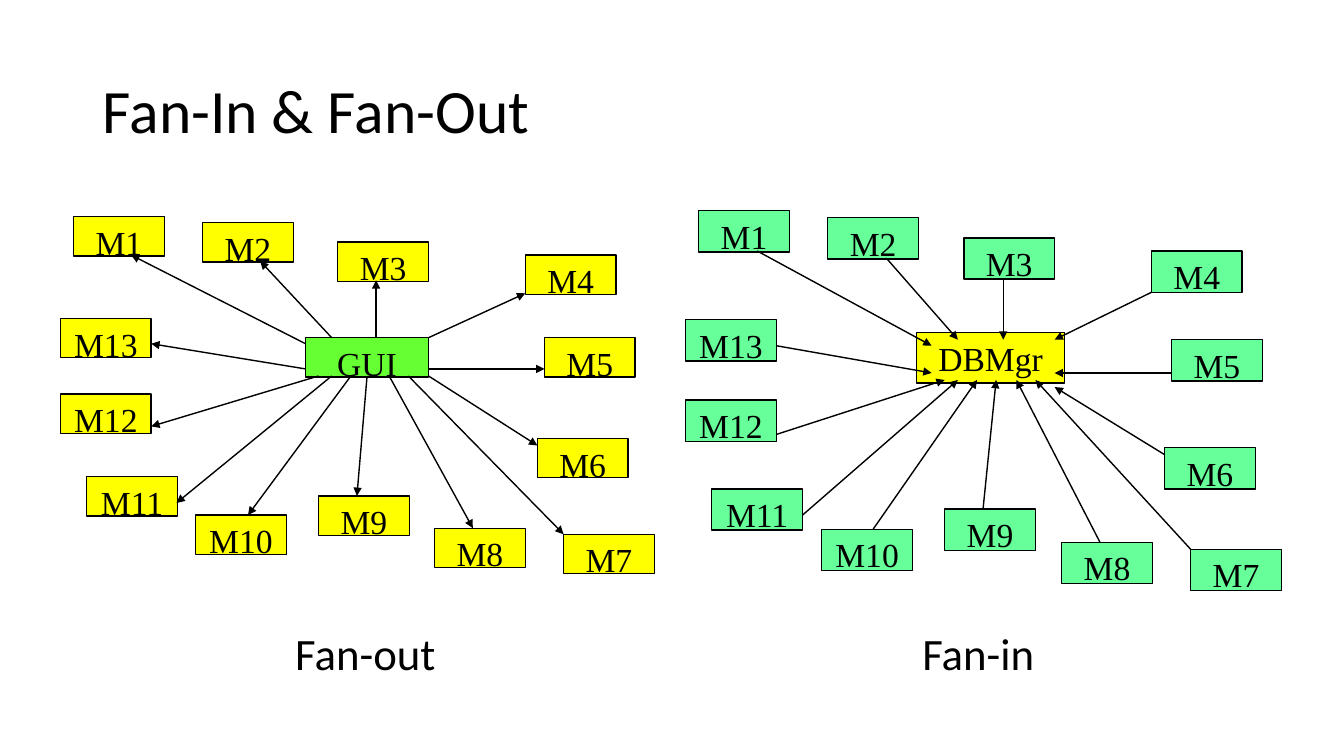
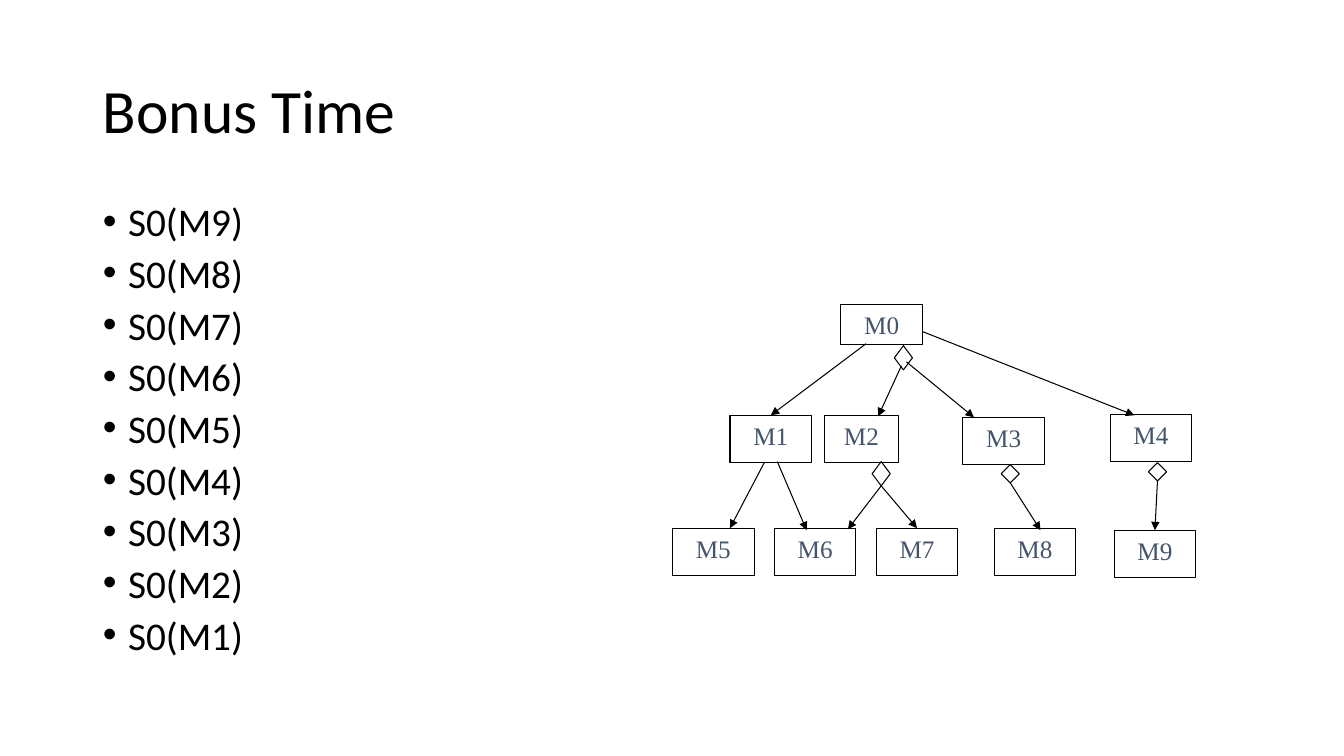
from dataclasses import dataclass
from typing import Any

import lxml.etree
import pptx
import pptx.dml.color
import pptx.enum.shapes
import pptx.enum.text
import pptx.oxml.ns
import pptx.util

EMU_PER_PX = 9144  # 100 px to the inch
COLORS = {
    "ink": "000000",
    "label": "44546A",
    "yellow": "FFFF00",
    "mint": "66FF99",
    "lime": "66FF33",
}
SANS, SERIF = "Calibri", "Times New Roman"
RECTANGLE = pptx.enum.shapes.MSO_SHAPE.RECTANGLE
DIAMOND = pptx.enum.shapes.MSO_SHAPE.DIAMOND
LEFT = pptx.enum.text.PP_ALIGN.LEFT
CENTER = pptx.enum.text.PP_ALIGN.CENTER
TOP = pptx.enum.text.MSO_ANCHOR.TOP
MIDDLE = pptx.enum.text.MSO_ANCHOR.MIDDLE
SNAP_PX = 3
GRID_COLUMNS, GRID_ROWS = 78, 50


@dataclass(frozen=True)
class Box:
    left: int
    top: int
    width: int
    height: int
    text: str = ""
    kind: Any = RECTANGLE


@dataclass(frozen=True)
class Arrow:
    start: tuple[int, int]
    end: tuple[int, int]


@dataclass(frozen=True)
class Spoke:
    """A module's grid cell, and the grid ends of its line at module and hub."""

    name: str
    cell: tuple[int, int]
    module_end: tuple[int, int]
    hub_end: tuple[int, int]


@dataclass(frozen=True)
class Fan:
    left: int
    top: int
    width: int
    height: int
    module_height: int
    module_fill: str
    hub: Box
    hub_fill: str
    inward: bool
    caption: str
    caption_left: int

    def point(self, cell: tuple[int, int]) -> tuple[int, int]:
        return (
            self.left + round(cell[0] * self.width / GRID_COLUMNS),
            self.top + round(cell[1] * self.height / GRID_ROWS),
        )


SPOKES = [
    Spoke("M1", (2, 0), (11, 6), (38, 20)),
    Spoke("M2", (22, 1), (31, 7), (42, 19)),
    Spoke("M3", (43, 4), (49, 10), (49, 19)),
    Spoke("M4", (72, 6), (72, 12), (57, 19)),
    Spoke("M5", (75, 19), (75, 24), (57, 24)),
    Spoke("M6", (74, 35), (74, 36), (57, 25)),
    Spoke("M7", (78, 50), (78, 50), (54, 25)),
    Spoke("M8", (58, 49), (64, 49), (51, 25)),
    Spoke("M9", (40, 44), (46, 44), (48, 25)),
    Spoke("M10", (21, 47), (29, 47), (45, 25)),
    Spoke("M11", (4, 41), (18, 45), (42, 25)),
    Spoke("M12", (0, 28), (14, 33), (40, 25)),
    Spoke("M13", (0, 16), (14, 20), (38, 24)),
]
FANS = [
    Fan(680, 209, 501, 336, 41, "mint", Box(909, 330, 147, 50, "DBMgr"),
        "yellow", True, "Fan-in", 905),
    Fan(60, 215, 499, 315, 39, "yellow", Box(303, 335, 122, 39, "GUI"),
        "lime", False, "Fan-out", 283),
]
TREE_BOXES = [
    Box(834, 302, 81, 40, "M0"),
    Box(724, 412, 81, 47, "M1"),
    Box(818, 412, 73, 47, "M2"),
    Box(955, 414, 81, 47, "M3"),
    Box(1101, 411, 81, 47, "M4"),
    Box(667, 524, 81, 47, "M5"),
    Box(768, 524, 81, 47, "M6"),
    Box(869, 524, 81, 47, "M7"),
    Box(986, 524, 81, 47, "M8"),
    Box(1105, 526, 81, 47, "M9"),
    Box(887, 343, 18, 24, kind=DIAMOND),
    Box(865, 458, 18, 24, kind=DIAMOND),
    Box(993, 461, 18, 18, kind=DIAMOND),
    Box(1139, 459, 18, 18, kind=DIAMOND),
]
TREE_ARROWS = [
    Arrow((859, 341), (764, 415)),
    Arrow((894, 363), (871, 413)),
    Arrow((899, 359), (966, 414)),
    Arrow((915, 329), (1125, 412)),
    Arrow((758, 459), (724, 524)),
    Arrow((771, 458), (800, 526)),
    Arrow((872, 479), (841, 525)),
    Arrow((875, 479), (912, 524)),
    Arrow((1004, 479), (1032, 526)),
    Arrow((1148, 479), (1147, 529)),
]


def px(length: int) -> pptx.util.Emu:
    return pptx.util.Emu(length * EMU_PER_PX)


def rgb(name: str) -> pptx.dml.color.RGBColor:
    return pptx.dml.color.RGBColor.from_string(COLORS[name])


def write_text(shape: Any, text: str, *, size: int, font: str = SANS,
               color: str = "ink", align: Any = LEFT, anchor: Any = TOP,
               line_spacing: float = 1.0, space_before: int = 0,
               bullet_indent: int = 0) -> None:
    """Fill a shape with one paragraph per line of text, all in one format."""
    frame = shape.text_frame
    frame.text = text
    frame.word_wrap = True
    frame.auto_size = pptx.enum.text.MSO_AUTO_SIZE.NONE
    frame.vertical_anchor = anchor
    for para in frame.paragraphs:
        para.alignment = align
        para.line_spacing = line_spacing
        para.space_before = pptx.util.Pt(space_before)
        para.font.size = pptx.util.Pt(size)
        para.font.name = font
        para.font.color.rgb = rgb(color)
        if bullet_indent:
            properties = para._p.get_or_add_pPr()
            properties.set("marL", str(px(bullet_indent)))
            properties.set("indent", str(px(-bullet_indent)))


def place(shape: Any, box: Box) -> None:
    shape.left, shape.top = px(box.left), px(box.top)
    shape.width, shape.height = px(box.width), px(box.height)


def add_slide(deck: Any, layout_index: int, title: str) -> Any:
    slide = deck.slides.add_slide(deck.slide_layouts[layout_index])
    place(slide.shapes.title, Box(92, 40, 1150, 145))
    write_text(slide.shapes.title, title, size=44, anchor=MIDDLE, line_spacing=0.9)
    return slide


def add_box(slide: Any, box: Box, *, size: int, line_width: float,
            color: str = "ink", fill: str = "") -> Any:
    shape = slide.shapes.add_shape(
        box.kind, px(box.left), px(box.top), px(box.width), px(box.height))
    shape.shadow.inherit = False
    if fill:
        shape.fill.solid()
        shape.fill.fore_color.rgb = rgb(fill)
    else:
        shape.fill.background()
    shape.line.color.rgb = rgb("ink")
    shape.line.width = pptx.util.Pt(line_width)
    if box.text:
        write_text(shape, box.text, size=size, font=SERIF, color=color, align=CENTER)
    return shape


def find_site(shapes: list[Any], point: tuple[int, int]) -> tuple[Any, int] | None:
    """Return the shape and side whose middle lies at the point, if there is one."""
    for shape in shapes:
        middle_x = shape.left + shape.width // 2
        middle_y = shape.top + shape.height // 2
        sites = [
            (middle_x, shape.top),
            (shape.left, middle_y),
            (middle_x, shape.top + shape.height),
            (shape.left + shape.width, middle_y),
        ]
        for side, (x, y) in enumerate(sites):
            if max(abs(x - px(point[0])), abs(y - px(point[1]))) <= px(SNAP_PX):
                return shape, side
    return None


def add_arrow(slide: Any, arrow: Arrow, shapes: list[Any], line_width: float) -> None:
    connector = slide.shapes.add_connector(
        pptx.enum.shapes.MSO_CONNECTOR.STRAIGHT,
        *(px(value) for value in arrow.start + arrow.end))
    if start_site := find_site(shapes, arrow.start):
        connector.begin_connect(*start_site)
    if end_site := find_site(shapes, arrow.end):
        connector.end_connect(*end_site)
    connector.line.color.rgb = rgb("ink")
    connector.line.width = pptx.util.Pt(line_width)
    qualify = pptx.oxml.ns.qn
    line = connector.line._get_or_add_ln()
    lxml.etree.SubElement(line, qualify("a:tailEnd"), type="triangle")
    lxml.etree.SubElement(connector._element.spPr, qualify("a:effectLst"))


def draw_fan(slide: Any, fan: Fan) -> None:
    shapes = [add_box(slide, fan.hub, size=24, line_width=1, fill=fan.hub_fill)]
    for spoke in SPOKES:
        module = Box(*fan.point(spoke.cell), 90, fan.module_height, spoke.name)
        shapes.append(add_box(slide, module, size=24, line_width=1,
                              fill=fan.module_fill))
    for spoke in SPOKES:
        hub_column, hub_row = spoke.hub_end
        if fan.inward and spoke.name == "M6":
            hub_row += 1
        ends = fan.point((hub_column, hub_row)), fan.point(spoke.module_end)
        arrow = Arrow(*(reversed(ends) if fan.inward else ends))
        add_arrow(slide, arrow, shapes, line_width=1)
    caption = slide.shapes.add_textbox(
        px(fan.caption_left), px(616), px(256), px(64))
    write_text(caption, fan.caption, size=32)


def build_fan_slide(deck: Any) -> None:
    slide = add_slide(deck, 5, "Fan-In & Fan-Out")
    for fan in FANS:
        draw_fan(slide, fan)


def build_bonus_slide(deck: Any) -> None:
    slide = add_slide(deck, 1, "Bonus Time")
    body = slide.placeholders[1]
    place(body, Box(92, 200, 569, 476))
    write_text(body, "\n".join(f"S0(M{number})" for number in range(9, 0, -1)),
               size=28, line_spacing=0.8, space_before=10, bullet_indent=25)
    shapes = [add_box(slide, box, size=18, line_width=0.75, color="label")
              for box in TREE_BOXES]
    for arrow in TREE_ARROWS:
        add_arrow(slide, arrow, shapes, line_width=0.75)


def main() -> None:
    deck = pptx.Presentation()
    deck.slide_width, deck.slide_height = px(1333), px(750)
    build_fan_slide(deck)
    build_bonus_slide(deck)
    deck.save("out.pptx")


if __name__ == "__main__":
    main()
